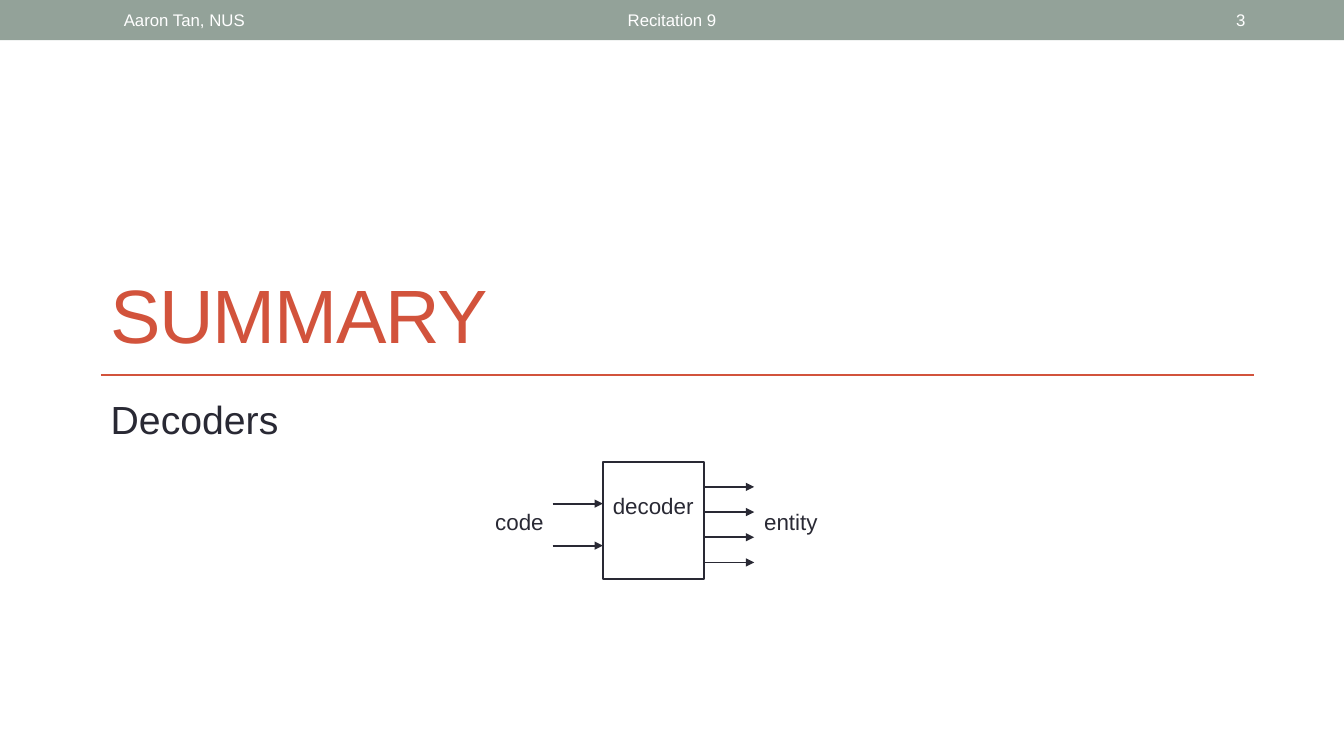
from pptx import Presentation
from pptx.dml.color import RGBColor
from pptx.enum.shapes import MSO_CONNECTOR, MSO_SHAPE
from pptx.enum.text import MSO_ANCHOR, PP_ALIGN
from pptx.oxml.ns import qn
from pptx.util import Inches, Pt
from lxml.etree import SubElement

WIDTH, HEIGHT = 13.33, 7.5
COLORS = {"sage": "93A299", "brick": "D2533C", "ink": "292934", "white": "FFFFFF"}
FONT = "Arial"
MARGIN = 1
CONTENT_WIDTH = 11.44
HEADER_HEIGHT = 0.4
RULE_TOP = 3.72
CELL = 1 / 12
DECODER_LEFT, DECODER_TOP = 5.98, 4.58
DECODER_COLUMNS, DECODER_ROWS = 12, 14
ARROW_COLUMNS = 6
INPUT_ROWS = (5, 10)
OUTPUT_ROWS = (3, 6, 9, 12)


def color(name):
    return RGBColor.from_string(COLORS[name])


def grid(column, row):
    return DECODER_LEFT + column * CELL, DECODER_TOP + row * CELL


def add_text(shapes, text, left, top, width, height, size=16, tint="ink",
             align=PP_ALIGN.LEFT, anchor=MSO_ANCHOR.TOP, inset=0.05, spacing=None):
    label = shapes.add_textbox(Inches(left), Inches(top), Inches(width), Inches(height))
    frame = label.text_frame
    frame.word_wrap = True
    frame.vertical_anchor = anchor
    frame.margin_top = Inches(inset)
    paragraph = frame.paragraphs[0]
    paragraph.alignment = align
    run = paragraph.add_run()
    run.text = text
    run.font.name = FONT
    run.font.size = Pt(size)
    run.font.color.rgb = color(tint)
    if spacing is not None:
        run.font._element.set("spc", str(spacing * 100))


def add_box(shapes, left, top, width, height, fill=None, line=None):
    box = shapes.add_shape(MSO_SHAPE.RECTANGLE, Inches(left), Inches(top),
                           Inches(width), Inches(height))
    box.shadow.inherit = False
    if fill:
        box.fill.solid()
        box.fill.fore_color.rgb = color(fill)
    else:
        box.fill.background()
    if line:
        box.line.color.rgb = color(line)
        box.line.width = Pt(1.5)
    else:
        box.line.fill.background()


def add_line(shapes, start, end, tint, weight, arrow=False):
    line = shapes.add_connector(MSO_CONNECTOR.STRAIGHT, *map(Inches, start + end))
    line.line.color.rgb = color(tint)
    line.line.width = Pt(weight)
    if arrow:
        SubElement(line.line._get_or_add_ln(), qn("a:tailEnd"), type="triangle")
    SubElement(line._element.spPr, qn("a:effectLst"))


def add_header(shapes):
    add_box(shapes, 0, 0, WIDTH, HEADER_HEIGHT, fill="sage")
    for text, left, width, align in (
        ("Recitation 9", 3.02, 7.29, PP_ALIGN.CENTER),
        ("Aaron Tan, NUS", 1.13, 3.17, PP_ALIGN.LEFT),
        ("3", 11.5, 0.95, PP_ALIGN.RIGHT),
    ):
        add_text(shapes, text, left, 0.02, width, 0.36, size=12, tint="white",
                 align=align, anchor=MSO_ANCHOR.MIDDLE)


def add_heading(shapes):
    add_line(shapes, (MARGIN, RULE_TOP), (MARGIN + CONTENT_WIDTH, RULE_TOP), "brick", 1.5)
    add_text(shapes, "SUMMARY", MARGIN, 1.5, CONTENT_WIDTH, 2.11, size=54, tint="brick",
             anchor=MSO_ANCHOR.BOTTOM, spacing=-1)
    add_text(shapes, "Decoders", MARGIN, 3.83, 9.33, 1.92, size=28, inset=0.09)


def add_decoder(shapes):
    diagram = shapes.add_group_shape().shapes
    add_box(diagram, *grid(0, 0), DECODER_COLUMNS * CELL, DECODER_ROWS * CELL, line="ink")
    for first_column, rows in ((-ARROW_COLUMNS, INPUT_ROWS), (DECODER_COLUMNS, OUTPUT_ROWS)):
        for row in rows:
            add_line(diagram, grid(first_column, row),
                     grid(first_column + ARROW_COLUMNS, row), "ink", 1.25, arrow=True)
    for text, column, row, columns in (
        ("decoder", 0, 3, 13),
        ("code", -14, 5, 9),
        ("entity", DECODER_COLUMNS + ARROW_COLUMNS, 5, 9),
    ):
        add_text(diagram, text, *grid(column, row), columns * CELL, 0.37)


def main():
    deck = Presentation()
    deck.slide_width, deck.slide_height = Inches(WIDTH), Inches(HEIGHT)
    shapes = deck.slides.add_slide(deck.slide_layouts[6]).shapes
    add_header(shapes)
    add_heading(shapes)
    add_decoder(shapes)
    deck.save("out.pptx")


if __name__ == "__main__":
    main()
